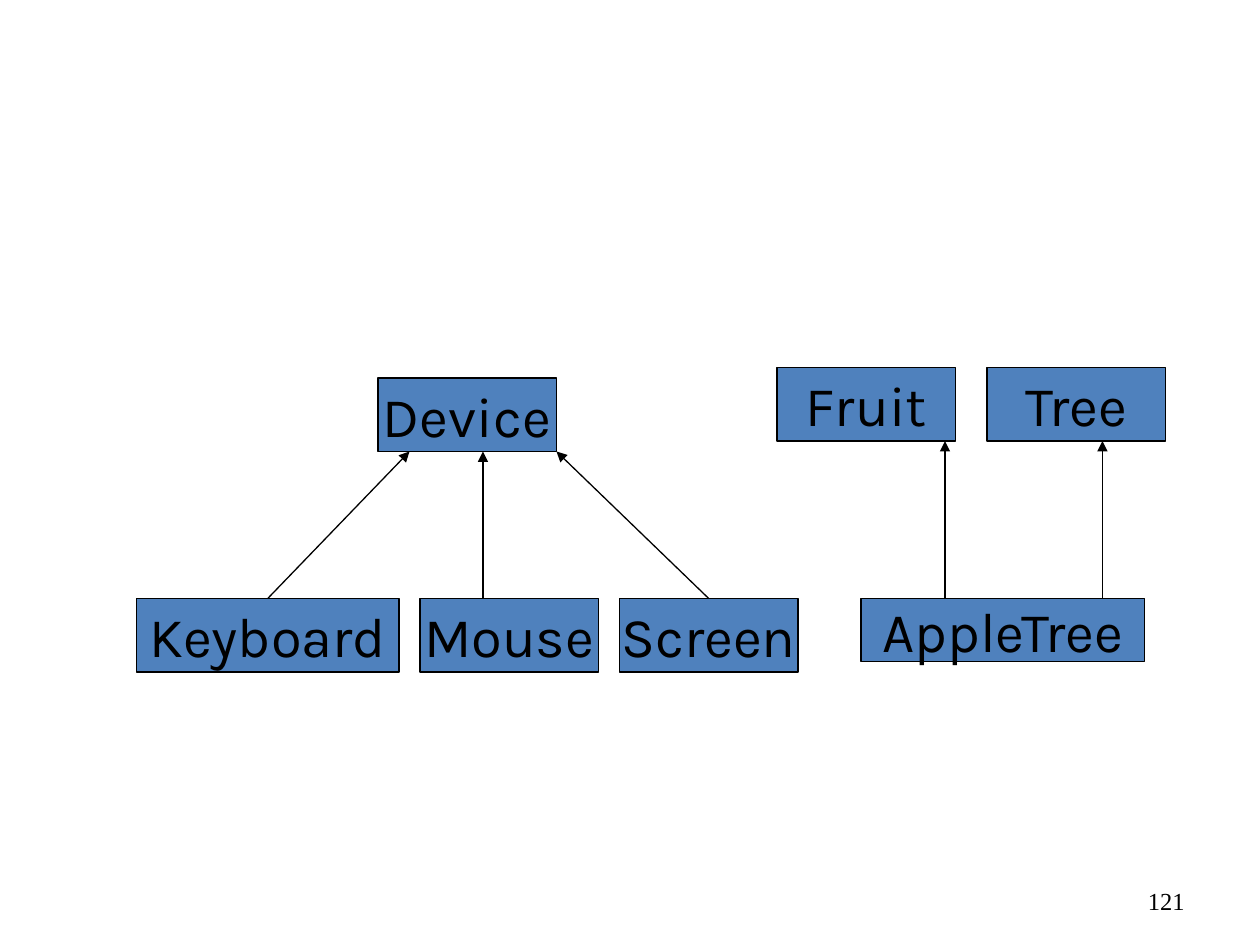
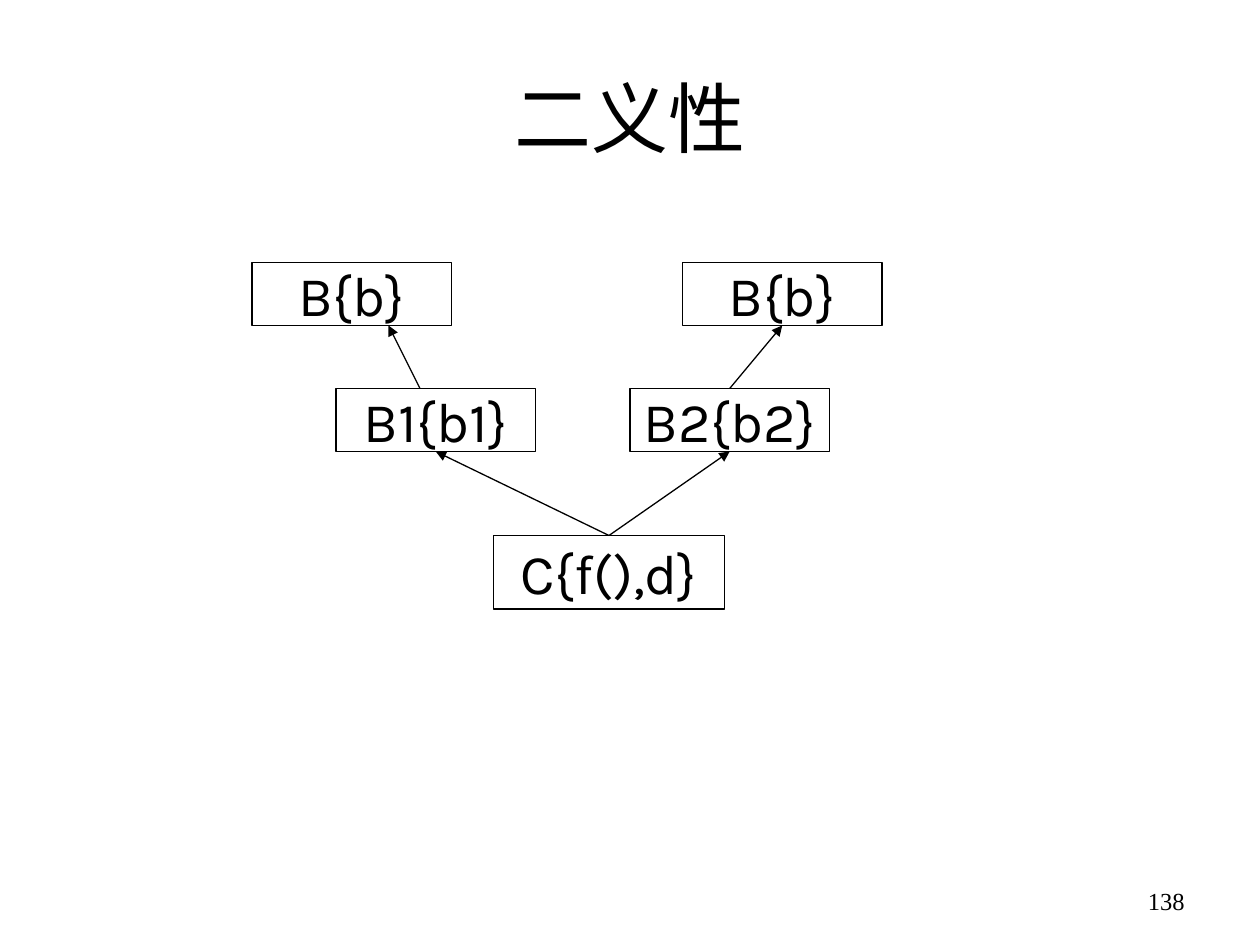
"""Build two class inheritance diagrams on a grid of twelfths of an inch."""
from lxml import etree
from pptx import Presentation
from pptx import util as u
from pptx.dml import color
from pptx.enum import shapes, text
from pptx.oxml import ns

COLORS = {"ink": "000000", "box": "4F81BD", "page": "FFFFFF"}
FORMATS = {
    "title": {"name": "Calibri", "size": u.Pt(44)},
    "class": {"name": "Karla", "size": u.Pt(32)},
    "number": {"name": "Times New Roman", "size": u.Pt(14)},
}
TOP, BOTTOM = 0, 2


def grid(n):
    return u.Cm(n * 2.54 / 12)


def rgb(name):
    return color.RGBColor.from_string(COLORS[name])


class Deck:
    def __init__(self):
        self.prs = Presentation()
        self.prs.slide_width, self.prs.slide_height = u.Cm(25.4), u.Cm(19.05)
        self.s = None

    def slide(self, number, title=None):
        self.s = self.prs.slides.add_slide(self.prs.slide_layouts[6])
        fill = self.s.background.fill
        fill.solid()
        fill.fore_color.rgb = rgb("page")
        self.label(number, (86, 83.4, 28, 4.8), "number", text.PP_ALIGN.RIGHT)
        if title:
            self.label(title, (6, 3.6, 108, 15), "title")

    def put_text(self, sp, words, style, align=text.PP_ALIGN.CENTER, wrap=True, before=0):
        tf = sp.text_frame
        p = tf.paragraphs[0]
        r = p.add_run()
        r.text = words
        r.font.color.rgb = rgb("ink")
        formats = (
            (tf, {"word_wrap": wrap, "vertical_anchor": text.MSO_ANCHOR.MIDDLE}),
            (p, {"alignment": align, "space_before": u.Pt(before)}),
            (r.font, FORMATS[style]),
        )
        for target, values in formats:
            for key, value in values.items():
                setattr(target, key, value)

    def label(self, words, place, style, align=text.PP_ALIGN.CENTER):
        sp = self.s.shapes.add_textbox(*map(grid, place))
        self.put_text(sp, words, style, align)

    def outline(self, sp):
        sp.line.color.rgb = rgb("ink")
        sp.line.width = u.Pt(0.75)

    def box(self, words, x, y, w, h, fill=None):
        sp = self.s.shapes.add_shape(
            shapes.MSO_SHAPE.RECTANGLE, *map(grid, (x, y, w, h)))
        sp.shadow.inherit = False
        if fill:
            sp.fill.solid()
            sp.fill.fore_color.rgb = rgb(fill)
        else:
            sp.fill.background()
        self.outline(sp)
        self.put_text(sp, words, "class", wrap=False, before=6.4)
        return sp

    def arrow(self, child, parent):
        ends = [end if isinstance(end, tuple) else (0, 0) for end in (child, parent)]
        sp = self.s.shapes.add_connector(
            shapes.MSO_CONNECTOR.STRAIGHT, *(grid(n) for end in ends for n in end))
        if not isinstance(child, tuple):
            sp.begin_connect(child, TOP)
        if not isinstance(parent, tuple):
            sp.end_connect(parent, BOTTOM)
        self.outline(sp)
        props = sp._element.spPr
        etree.SubElement(props.find(ns.qn("a:ln")), ns.qn("a:tailEnd"), type="triangle")
        etree.SubElement(props, ns.qn("a:effectLst"))


def inheritance(deck):
    deck.slide("121")
    classes = (
        ("Mouse", 40, 57, 17, 7), ("Screen", 59, 57, 17, 7),
        ("Device", 36, 36, 17, 7), ("Keyboard", 13, 57, 25, 7),
        ("Tree", 94, 35, 17, 7), ("AppleTree", 82, 57, 27, 6),
        ("Fruit", 74, 35, 17, 7),
    )
    boxes = {c[0]: deck.box(*c, fill="box") for c in classes}
    deck.arrow(boxes["Keyboard"], (39, 43))
    deck.arrow((46, 57), (46, 43))
    deck.arrow(boxes["Screen"], (53, 43))
    for x in (90, 105):
        deck.arrow((x, 57), (x, 42))


def ambiguity(deck):
    deck.slide("138", "二义性")
    deck.box("B{b}", 24, 25, 19, 6)
    b1 = deck.box("B1{b1}", 32, 37, 19, 6)
    c = deck.box("C{f(),d}", 47, 51, 22, 7)
    base = deck.box("B{b}", 65, 25, 19, 6)
    b2 = deck.box("B2{b2}", 60, 37, 19, 6)
    for child, parent in ((c, b2), (c, b1), (b2, base), ((40, 37), (37, 31))):
        deck.arrow(child, parent)


def main():
    deck = Deck()
    inheritance(deck)
    ambiguity(deck)
    deck.prs.save("out.pptx")


if __name__ == "__main__":
    main()
